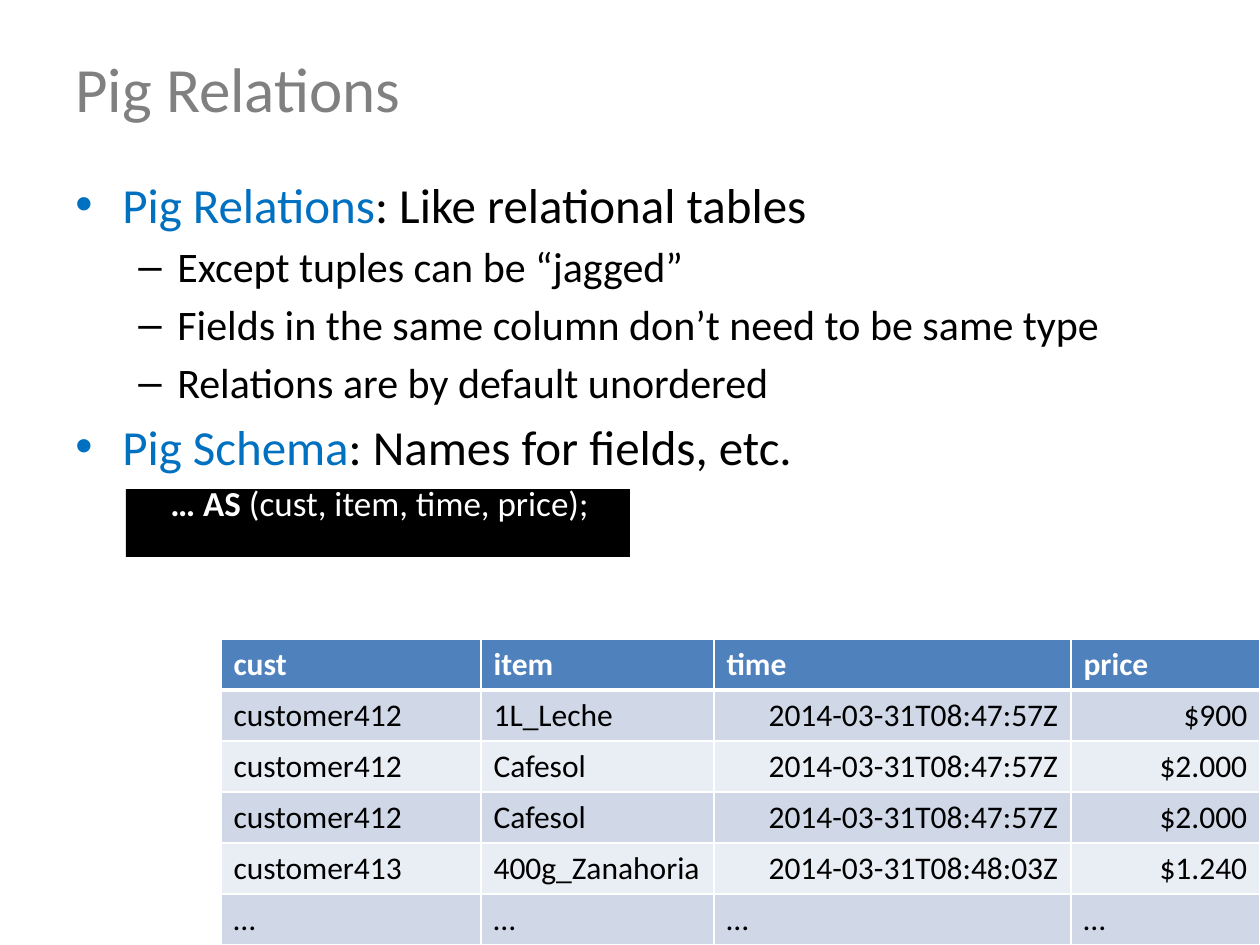
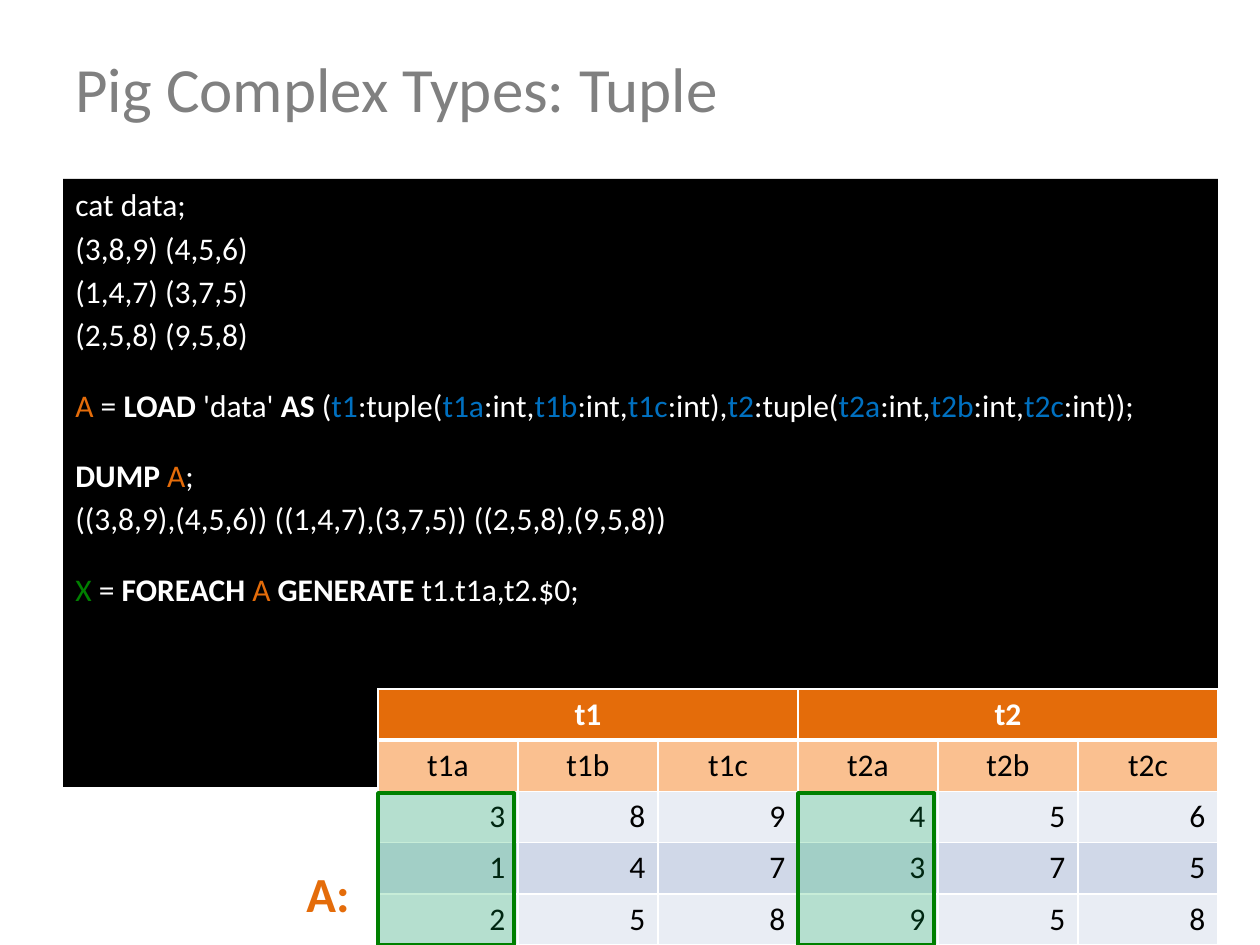
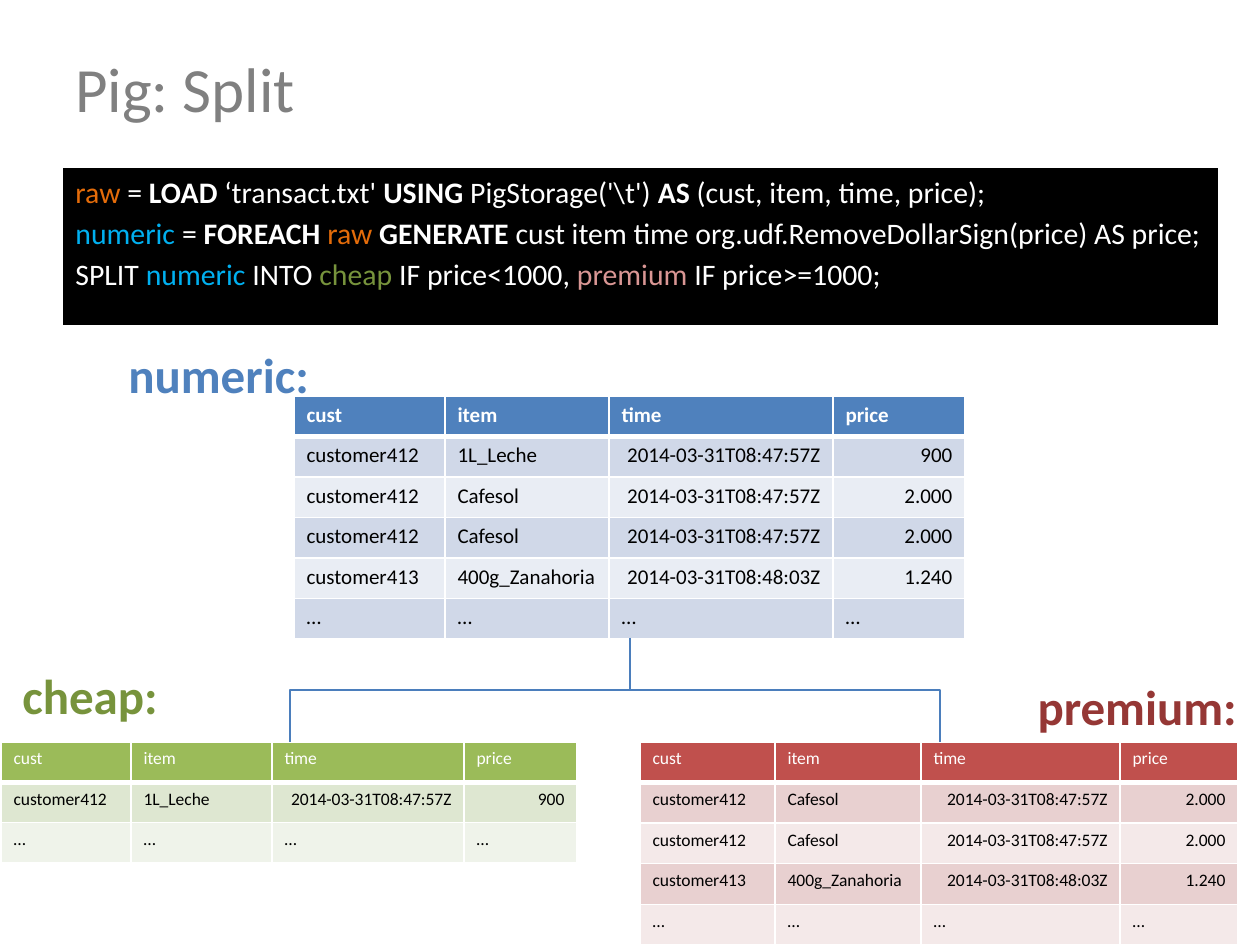
import pptx
import pptx.util
import pptx.oxml
import pptx.oxml.ns
import pptx.dml.color
import pptx.enum.text
import pptx.enum.shapes

RGB = pptx.dml.color.RGBColor
ALIGN = pptx.enum.text.PP_ALIGN
ANCHOR = pptx.enum.text.MSO_ANCHOR
RECT = pptx.enum.shapes.MSO_SHAPE.RECTANGLE
ELBOW = pptx.enum.shapes.MSO_CONNECTOR.ELBOW
Pt = pptx.util.Pt
qn = pptx.oxml.ns.qn
sub = pptx.oxml.parse_xml
NS = pptx.oxml.ns.nsdecls("a")

SCALE = 914400 / 126
FONT = "Calibri"
WHITE = RGB(0xFF, 0xFF, 0xFF)
BLACK = RGB(0, 0, 0)
GREY = RGB(0x80, 0x80, 0x80)
BLUE = RGB(0x00, 0x70, 0xC0)
SKY = RGB(0x00, 0xB0, 0xF0)
STEEL = RGB(0x4F, 0x81, 0xBD)
WIRE = RGB(0x4B, 0x7E, 0xBC)
ORANGE = RGB(0xE4, 0x6C, 0x0A)
PEACH = RGB(0xFA, 0xC0, 0x90)
GREEN = RGB(0x00, 0x80, 0x00)
MINT = RGB(0x00, 0xB0, 0x50)
OLIVE = RGB(0x77, 0x93, 0x3C)
PINK = RGB(0xD9, 0x96, 0x94)
WINE = RGB(0x95, 0x37, 0x35)
BLUES = STEEL, RGB(0xD0, 0xD8, 0xE8), RGB(0xE9, 0xED, 0xF4)
ORANGES = ORANGE, BLUES[1], BLUES[2]
GREENS = RGB(0x9B, 0xBB, 0x59), RGB(0xDE, 0xE7, 0xD1), RGB(0xEF, 0xF3, 0xEA)
REDS = RGB(0xC0, 0x50, 0x4D), RGB(0xE8, 0xD0, 0xD0), RGB(0xF4, 0xE9, 0xE9)
BOLD = "bold"


def write(frame, lines, size, ink, gap=0, bold=False):
    frame.word_wrap = True
    for num, line in enumerate(lines):
        para = frame.paragraphs[0] if num == 0 else frame.add_paragraph()
        para.alignment = ALIGN.LEFT
        para.space_before = Pt(gap)
        para.font.name = FONT
        para.font.size = Pt(size)
        para.font.color.rgb = ink
        para.font.bold = bold
        for part in [line] if isinstance(line, str) else line:
            text, look = (part, None) if isinstance(part, str) else part
            run = para.add_run()
            run.text = text
            if look == BOLD:
                run.font.bold = True
            elif look:
                run.font.color.rgb = look
    return frame.paragraphs


def grid(slide, spot, high, cols, rows, size, fills, bold):
    area = [round(n * SCALE) for n in (*spot, sum(cols), high)]
    table = slide.shapes.add_table(len(rows), len(cols), *area).table
    table.first_row = table.horz_banding = False
    for col, wide in zip(table.columns, cols):
        col.width = round(wide * SCALE)
    for r, row in enumerate(rows):
        for c, text in enumerate(row):
            cell = table.cell(r, c)
            props = cell._tc.get_or_add_tcPr()
            for side in "LRTB":
                thick = 3 if (r, side) in ((0, "B"), (1, "T")) else 1
                props.append(sub(
                    f'<a:ln{side} {NS} w="{Pt(thick)}"><a:solidFill>'
                    f'<a:srgbClr val="{WHITE}"/></a:solidFill></a:ln{side}>'))
            cell.fill.solid()
            cell.fill.fore_color.rgb = fills[0] if r == 0 else fills[2 - r % 2]
            if text:
                ink = BLACK if r else WHITE
                para = write(cell.text_frame, [text], size, ink, 0, bold and r == 0)[0]
                if text != "…" and "_" not in text and not text[0].isalpha():
                    para.alignment = ALIGN.RIGHT
    return table


deck = pptx.Presentation()
deck.slide_width = round(1260 * SCALE)
deck.slide_height = round(945 * SCALE)

jobs = [
    ("Pig Relations", (126, 489, 504, 68), [], 20, 0),
    ("Pig Complex Types: Tuple", (63, 179, 1155, 608), [
        "cat data;",
        "(3,8,9) (4,5,6)",
        "(1,4,7) (3,7,5)",
        "(2,5,8) (9,5,8)",
        [("A", ORANGE), " = ", ("LOAD", BOLD), " 'data' ", ("AS", BOLD), " (",
         ("t1", BLUE), ":tuple(", ("t1a", BLUE), ":int,", ("t1b", BLUE), ":int,",
         ("t1c", BLUE), ":int),", ("t2", BLUE), ":tuple(", ("t2a", BLUE), ":int,",
         ("t2b", BLUE), ":int,", ("t2c", BLUE), ":int));"],
        [("DUMP ", BOLD), ("A", ORANGE), ";"],
        "((3,8,9),(4,5,6)) ((1,4,7),(3,7,5)) ((2,5,8),(9,5,8))",
        [("X ", GREEN), "= ", ("FOREACH ", BOLD), ("A ", ORANGE),
         ("GENERATE", BOLD), " t1.t1a,t2.$0;"],
    ], 18, 3.2),
    ("Pig: Split", (63, 168, 1155, 157), [
        [("raw ", ORANGE), "= ", ("LOAD", BOLD), " ‘transact.txt' ", ("USING ", BOLD),
         "PigStorage('\\t') ", ("AS", BOLD), " (cust, item, time, price);"],
        [("numeric ", SKY), "= ", ("FOREACH ", BOLD), ("raw ", ORANGE),
         ("GENERATE ", BOLD),
         "cust item time org.udf.RemoveDollarSign(price) AS price;"],
        ["SPLIT ", ("numeric ", SKY), "INTO ", ("cheap ", OLIVE), "IF price<1000, ",
         ("premium", PINK), " IF price>=1000;"],
    ], 17, 3),
]
slides, codes = [], []
for title, spot, lines, size, gap in jobs:
    slide = deck.slides.add_slide(deck.slide_layouts[6])
    box = slide.shapes.add_shape(RECT, *[round(n * SCALE) for n in spot])
    box.shadow.inherit = False
    box.fill.solid()
    box.fill.fore_color.rgb = BLACK
    box.line.fill.background()
    box.text_frame.vertical_anchor = ANCHOR.TOP
    codes.append(write(box.text_frame, lines, size, WHITE, gap))
    area = [round(n * SCALE) for n in (63, 38, 1134, 98)]
    head = slide.shapes.add_textbox(*area).text_frame
    head.vertical_anchor = ANCHOR.MIDDLE
    write(head, [title], 36, GREY)
    slides.append(slide)
first, second, third = slides

for num in (4, 5, 7):
    codes[1][num].space_before = Pt(18.6)

area = [round(n * SCALE) for n in (63, 168, 1134, 677)]
body = first.shapes.add_textbox(*area).text_frame
paras = write(body, [
    [("Pig Relations", BLUE), ": Like relational tables"],
    "Except tuples can be “jagged”",
    "Fields in the same column don’t need to be same type",
    "Relations are by default unordered",
    [("Pig Schema", BLUE), ": Names for fields, etc."],
    [("… AS ", BOLD), "(cust, item, time, price);"],
], 24, BLACK, 4.4)
levels = {
    "•": (28, 5.1, 47, -47, BLUE),
    "–": (24, 4.4, 102, -39, BLACK),
    "": (20, 3.6, 95, 0, WHITE),
}
for para, mark in zip(paras, ["•", "–", "–", "–", "•", ""]):
    size, gap, left, hang, ink = levels[mark]
    para.font.size = Pt(size)
    para.space_before = Pt(gap)
    props = para._p.get_or_add_pPr()
    props.set("marL", str(round(left * SCALE)))
    props.set("indent", str(round(hang * SCALE)))
    if mark:
        dot = props.find(qn("a:defRPr"))
        dot.addprevious(sub(f'<a:buClr {NS}><a:srgbClr val="{ink}"/></a:buClr>'))
        dot.addprevious(sub(f'<a:buFont {NS} typeface="Arial"/>'))
        dot.addprevious(sub(f'<a:buChar {NS} char="{mark}"/>'))
    else:
        para.font.color.rgb = ink

names = ["cust", "item", "time", "price"]
sales = [
    ["customer412", "1L_Leche", "2014-03-31T08:47:57Z", "900"],
    ["customer412", "Cafesol", "2014-03-31T08:47:57Z", "2.000"],
    ["customer412", "Cafesol", "2014-03-31T08:47:57Z", "2.000"],
    ["customer413", "400g_Zanahoria", "2014-03-31T08:48:03Z", "1.240"],
]
more = ["…"] * 4
priced = [row[:3] + ["$" + row[3]] for row in sales]
grid(first, (221, 639), 306, [260, 233, 357, 189],
     [names, *priced, more], 18, BLUES, True)

pairs = grid(second, (378, 689), 256, [140] * 6, [
    ["t1", "", "", "t2", "", ""],
    ["t1a", "t1b", "t1c", "t2a", "t2b", "t2c"],
    list("389456"), list("147375"), list("258958"),
], 18, ORANGES, True)
for col in range(6):
    cell = pairs.cell(1, col)
    cell.fill.fore_color.rgb = PEACH
    cell.text_frame.paragraphs[0].alignment = ALIGN.CENTER
for col in (0, 3):
    cell = pairs.cell(0, col)
    cell.merge(pairs.cell(0, col + 2))
    cell.text_frame.paragraphs[0].alignment = ALIGN.CENTER

grid(third, (294, 396), 243, [151, 164, 224, 132],
     [names, *sales, more], 12, BLUES, True)
grid(third, (1, 742), 121, [130, 141, 192, 113],
     [names, sales[0], more], 10, GREENS, False)
grid(third, (640, 742), 203, [135, 146, 199, 118],
     [names, *sales[1:], more], 10, REDS, False)

for slide, text, left, top, ink, align in [
    (second, "A:", 294, 857, ORANGE, ALIGN.LEFT),
    (third, "numeric:", 116, 338, STEEL, ALIGN.LEFT),
    (third, "cheap:", 10, 659, OLIVE, ALIGN.LEFT),
    (third, "premium:", 850, 670, WINE, ALIGN.RIGHT),
]:
    area = [round(n * SCALE) for n in (left, top, 399, 72)]
    label = slide.shapes.add_textbox(*area).text_frame
    write(label, [text], 28, ink, 0, True)[0].alignment = align

for left in (378, 798):
    area = [round(n * SCALE) for n in (left, 793, 136, 152)]
    pick = second.shapes.add_shape(RECT, *area)
    pick.shadow.inherit = False
    pick.fill.solid()
    pick.fill.fore_color.rgb = MINT
    tint = pick._element.spPr.find(qn("a:solidFill"))[0]
    tint.append(sub(f'<a:alpha {NS} val="22000"/>'))
    pick.line.color.rgb = GREEN
    pick.line.width = Pt(2)

for end, side in ((290, -1), (940, 1)):
    mid, half = (630 + end) / 2, abs(end - 630) / 2
    ends = (mid + side * 52, 690 - half, mid - side * 52, 690 + half)
    wire = third.shapes.add_connector(ELBOW, *[round(n * SCALE) for n in ends])
    wire.line.color.rgb = WIRE
    wire.line.width = Pt(0.75)
    props = wire._element.spPr
    props.append(sub(f"<a:effectLst {NS}/>"))
    props.find(qn("a:xfrm")).set("rot", str((180 + side * 90) * 60000))

deck.save("out.pptx")
